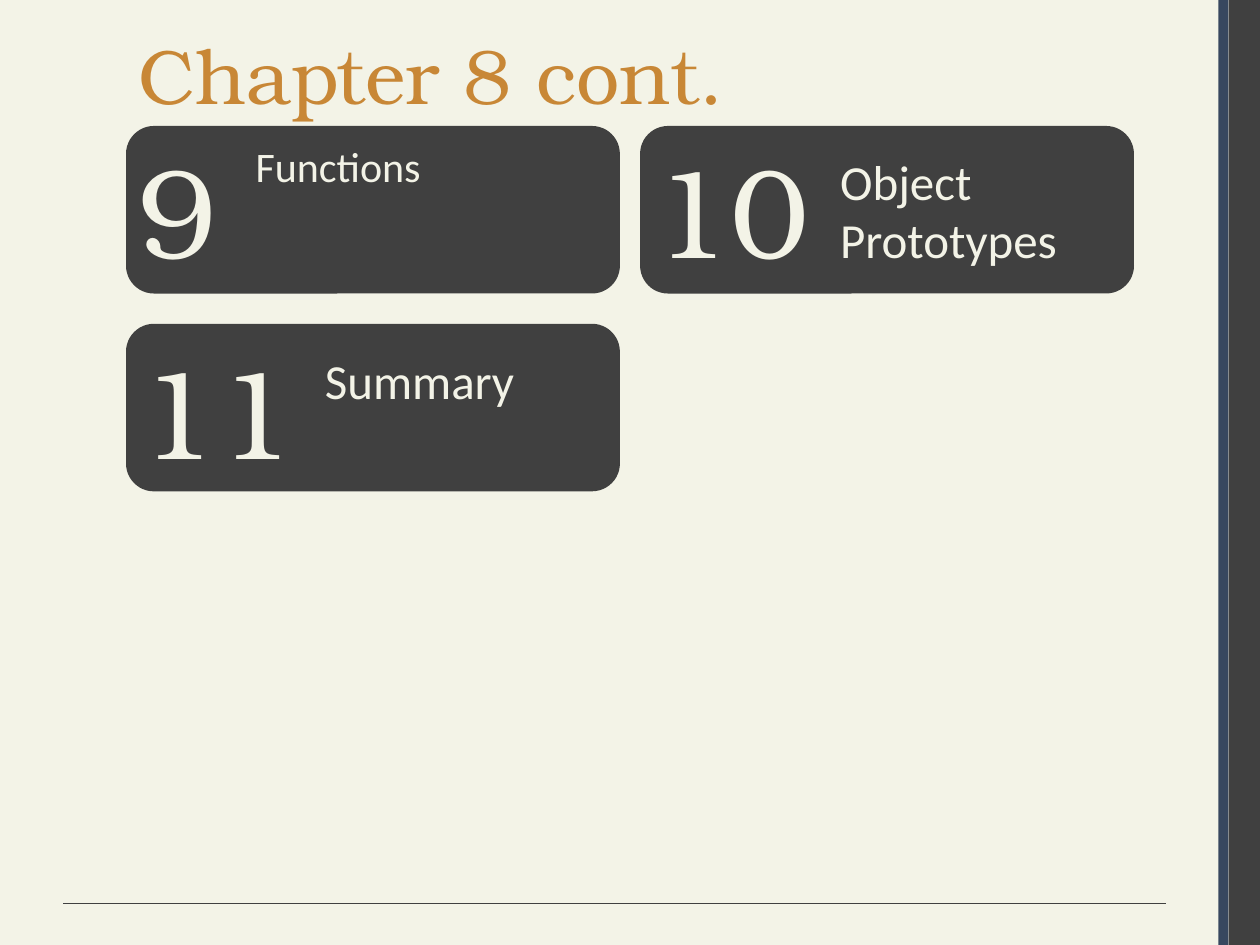
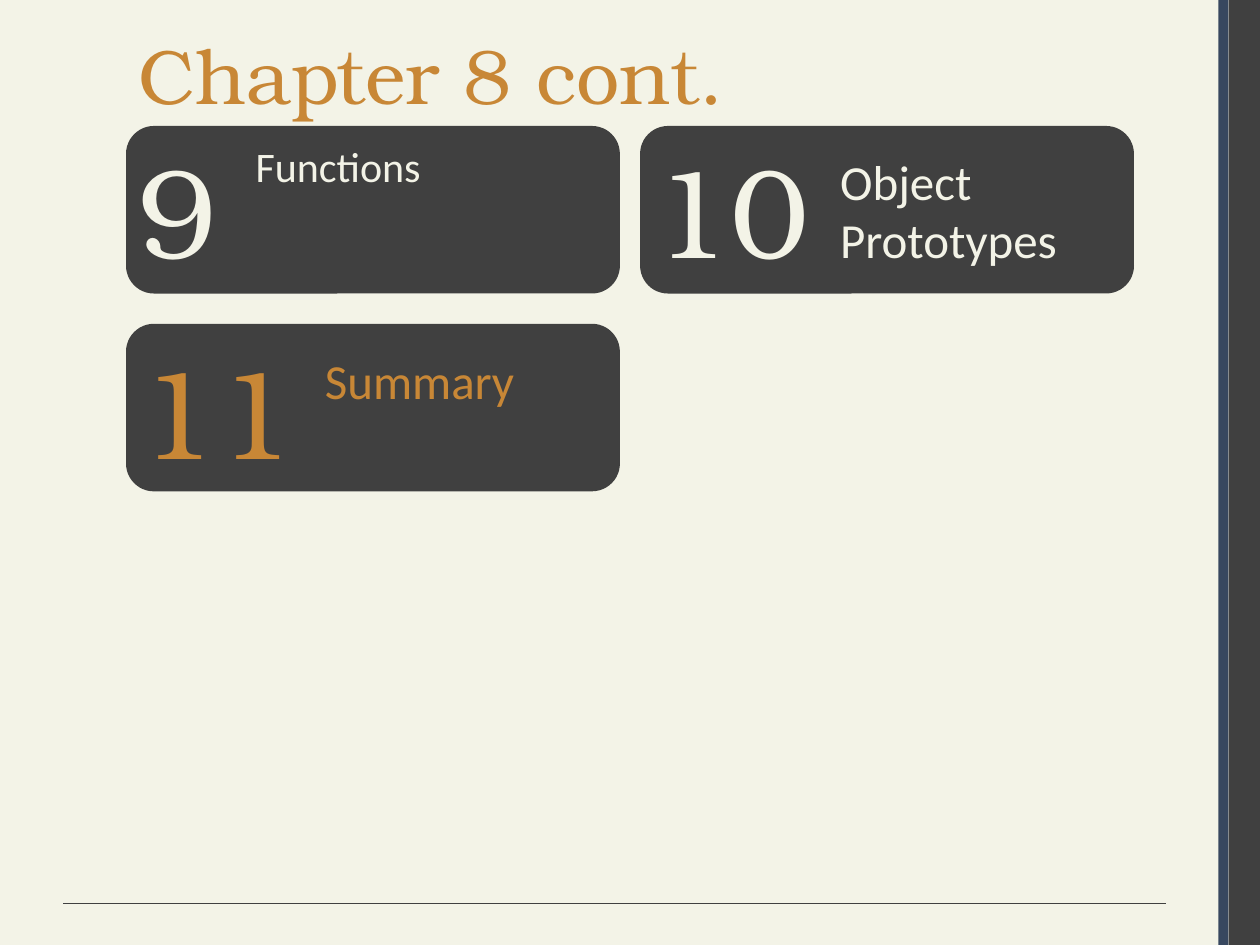
from dataclasses import dataclass

from lxml import etree
from pptx import Presentation
from pptx import util as u
from pptx.dml.color import RGBColor
from pptx.enum import shapes, text
from pptx.oxml.ns import qn

TITLE = "Chapter 8 cont."
# number, its box (dx, dy, width), label, its box (dx, dy, width, height), label size;
# boxes are offset from the card's top left corner
CARDS = [
    ("9", (0, 0, 0.75), "Functions", (0.93, 0.07, 2.76, 0.5), 24),
    ("10", (0, 0, 1.65), "Object Prototypes", (1.49, 0.15, 2.2, 1.04), 28),
    ("11", (0, 0.03, 1.64), "Summary", (1.48, 0.16, 2.28, 0.57), 28),
]
HIGHLIGHTS = [None, "11"]  # highlighted card number on each slide


@dataclass(frozen=True)
class Theme:
    paper: str = "F3F3E7"
    dark: str = "404040"
    blue: str = "37475F"
    accent: str = "C88736"
    serif: str = "TeX Gyre Bonum"
    sans: str = "Calibri"
    title_size: int = 44
    number_size: int = 72


T = Theme()
WIDTH, HEIGHT = 10, 7.5
COLUMNS, LEFT, TOP = 2, 1, 1
CARD_W, CARD_H = 3.92, 1.33
GAP_X, GAP_Y = 0.16, 0.24
NUMBER_H = 1.31
BANDS = [(9.75, 0.25, T.dark), (9.67, 0.08, T.blue)]  # left, width, colour
RULE = (9.25, 0.5, 7.17)  # start x, end x, y


def inches(*lengths):
    return [u.Inches(n) for n in lengths]


def rgb(colour):
    return RGBColor.from_string(colour)


def add_block(s, kind, box, colour):
    sp = s.shapes.add_shape(kind, *inches(*box))
    sp.shadow.inherit = False
    sp.fill.solid()
    sp.fill.fore_color.rgb = rgb(colour)
    sp.line.fill.background()
    return sp


def write(sp, words, size, font, colour):
    tf = sp.text_frame
    tf.word_wrap = True
    tf.vertical_anchor = text.MSO_ANCHOR.TOP
    tf.text = words
    p = tf.paragraphs[0]
    p.alignment = text.PP_ALIGN.LEFT
    r = p.runs[0]
    r.font.size = u.Pt(size)
    r.font.name = font
    r.font.color.rgb = rgb(colour)


def add_text(s, box, *style):
    sp = s.shapes.add_textbox(*inches(*box))
    write(sp, *style)
    sp.text_frame.auto_size = text.MSO_AUTO_SIZE.SHAPE_TO_FIT_TEXT


def decorate_master(master, s):
    """Build the bands and rule on slide s, then move them to the master."""
    fill = master.background.fill
    fill.solid()
    fill.fore_color.rgb = rgb(T.paper)
    parts = [add_block(s, shapes.MSO_SHAPE.RECTANGLE, (x, 0, w, HEIGHT), colour)
             for x, w, colour in BANDS]
    x1, x2, y = RULE
    rule = s.shapes.add_connector(shapes.MSO_CONNECTOR.STRAIGHT, *inches(x1, y, x2, y))
    rule.line.color.rgb = rgb(T.dark)
    rule.line.width = u.Pt(0.75)
    etree.SubElement(rule._element.spPr, qn("a:effectLst"))
    for part in parts + [rule]:
        master.shapes._spTree.append(part._element)


def add_title(s):
    sp = s.shapes.title
    sp.left, sp.top, sp.width, sp.height = inches(LEFT, 0.17, 8.67, 1.17)
    write(sp, TITLE, T.title_size, T.serif, T.accent)
    sp.text_frame.auto_size = text.MSO_AUTO_SIZE.NONE


def add_cards(s, highlight):
    corners = [(LEFT + i % COLUMNS * (CARD_W + GAP_X),
                TOP + i // COLUMNS * (CARD_H + GAP_Y)) for i in range(len(CARDS))]
    for x, y in corners:
        add_block(s, shapes.MSO_SHAPE.ROUNDED_RECTANGLE, (x, y, CARD_W, CARD_H), T.dark)
    for (x, y), (number, number_box, label, label_box, size) in zip(corners, CARDS):
        colour = T.accent if number == highlight else T.paper
        dx, dy, w = number_box
        add_text(s, (x + dx, y + dy, w, NUMBER_H), number, T.number_size, T.serif, colour)
        dx, dy, w, h = label_box
        add_text(s, (x + dx, y + dy, w, h), label, size, T.sans, colour)


def main():
    prs = Presentation()
    prs.slide_width, prs.slide_height = inches(WIDTH, HEIGHT)
    title_only = prs.slide_layouts[5]
    for i, highlight in enumerate(HIGHLIGHTS):
        s = prs.slides.add_slide(title_only)
        if i == 0:
            decorate_master(prs.slide_master, s)
        add_title(s)
        add_cards(s, highlight)
    prs.save("out.pptx")


if __name__ == "__main__":
    main()
